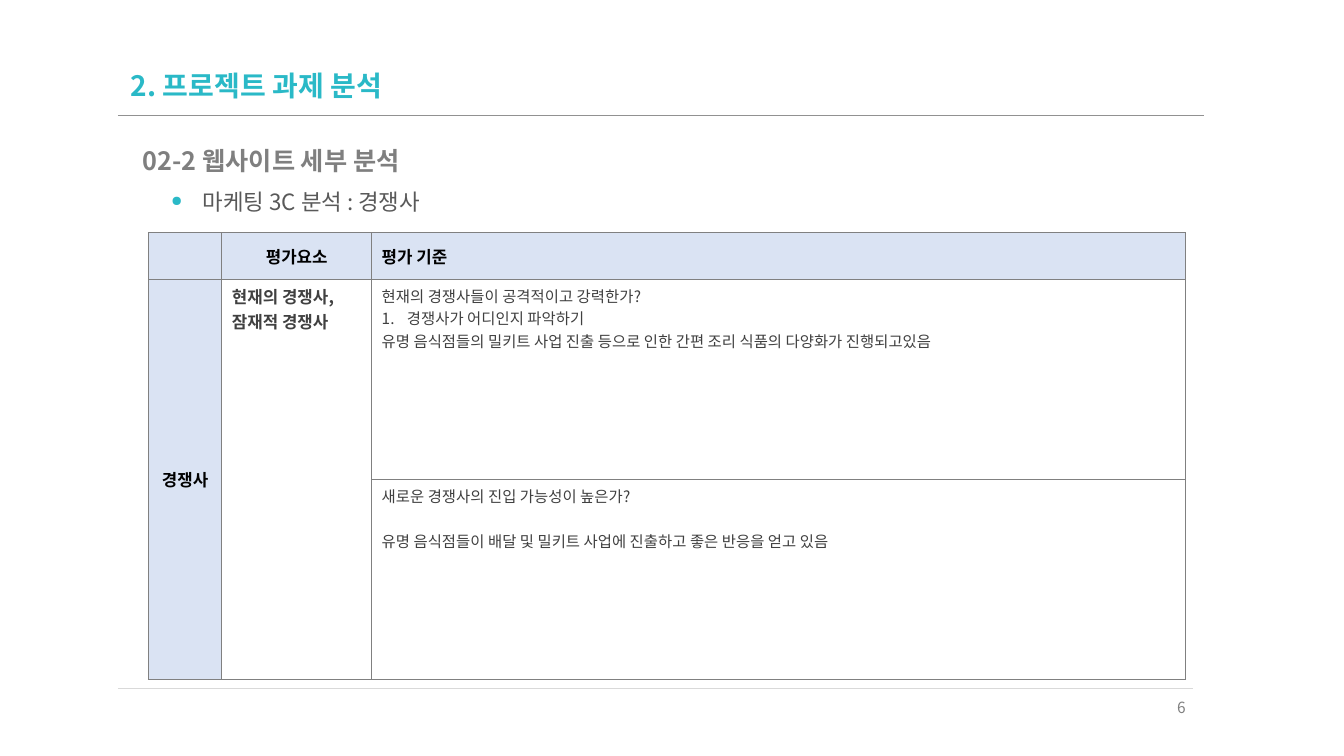
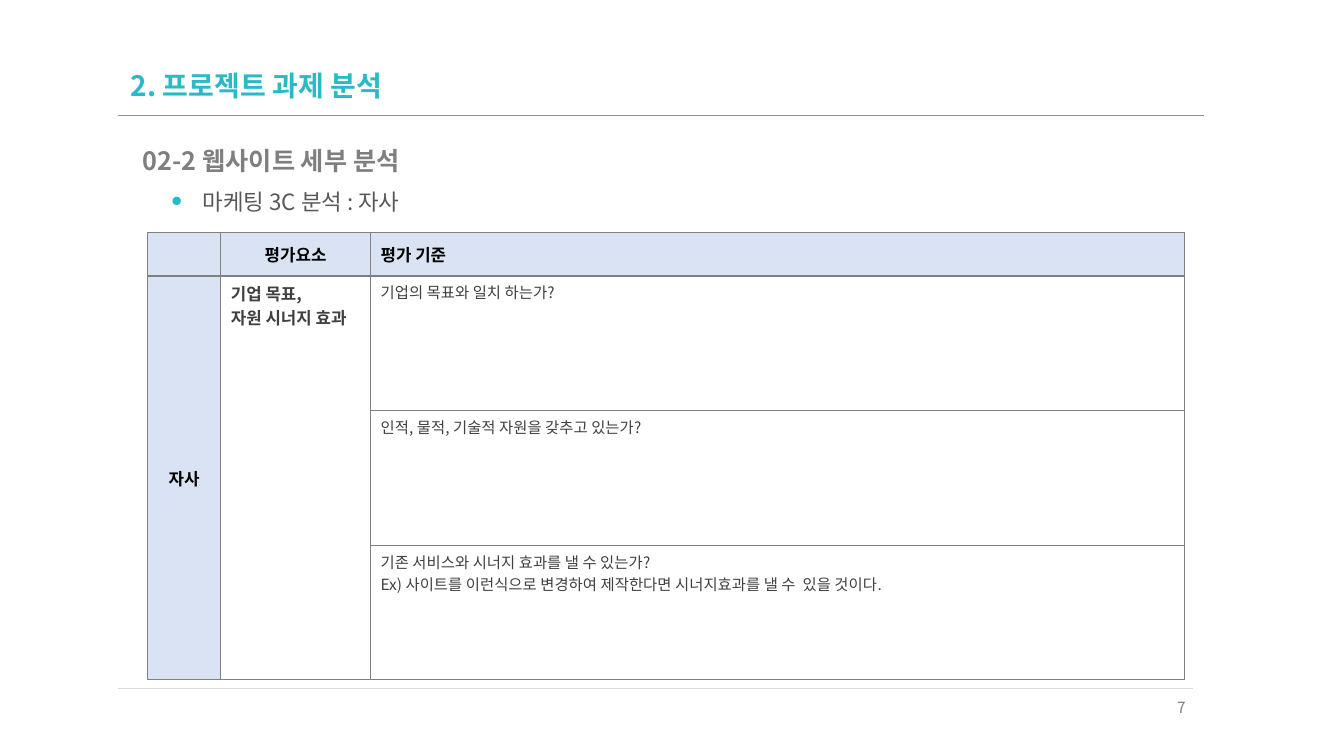
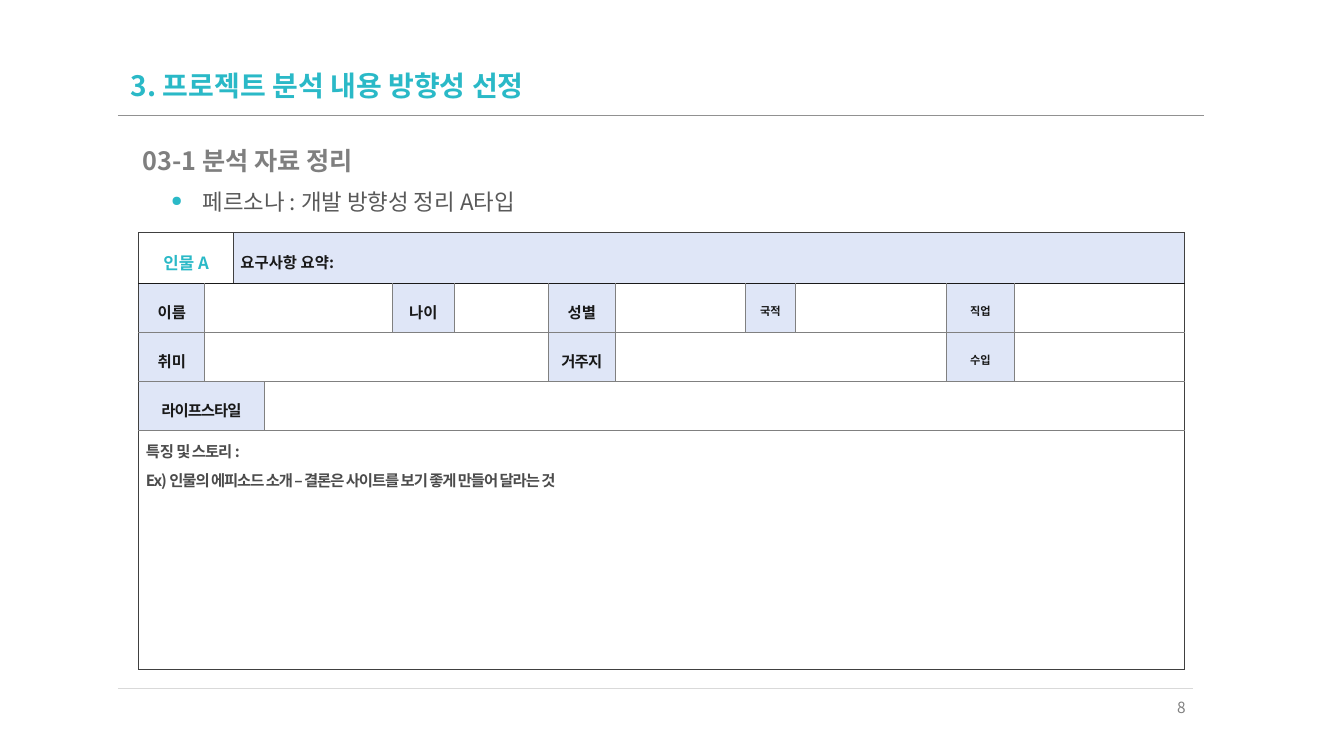
import pptx
import pptx.util
import pptx.dml.color
import pptx.enum.shapes
import pptx.enum.text
import pptx.oxml.ns
import lxml.etree

Pt = pptx.util.Pt
qn = pptx.oxml.ns.qn
ALIGN = pptx.enum.text.PP_ALIGN
ANCHOR = pptx.enum.text.MSO_ANCHOR

FONT = "Noto Sans CJK KR"
COLOURS = {
    "accent": "2AB9C7", "subtitle": "7F7F7F", "topic": "595959", "grey": "808080",
    "title_rule": "919191", "rule": "D9D9D9", "dark": "404040", "ink": "191919",
    "story": "4C4C4C", "black": "000000", "header": "DAE3F3", "label": "DFE6F7",
}

# Cell styles: text look, fill and inner margins (horizontal, vertical)
ANALYSIS = {"size": 12, "bold": True, "colour": "black", "margins": (7.2, 3.6)}
HEAD = {**ANALYSIS, "fill": "header", "anchor": ANCHOR.MIDDLE}
HEAD_CENTRED = {**HEAD, "align": ALIGN.CENTER}
FACTOR = {**ANALYSIS, "colour": "dark"}
CRITERION = {**FACTOR, "size": 11, "bold": False}
PERSONA = {"size": 11, "bold": True, "colour": "ink", "margins": (5, 1.5), "spacing": 1.3}
LABEL = {**PERSONA, "fill": "label", "anchor": ANCHOR.MIDDLE, "align": ALIGN.CENTER}
SMALL_LABEL = {**LABEL, "size": 8}
PERSON = {**LABEL, "size": 12, "colour": "accent", "fill": None}
SUMMARY = {**LABEL, "align": ALIGN.JUSTIFY}
STORY = {**PERSONA, "colour": "story", "align": ALIGN.JUSTIFY}

# Borders: (colour, width)
GRID = ("grey", 1)
THIN = ("grey", 0.5)
FRAME = ("dark", 1)
BAND = ("ink", 0.85)

# Cells: row, column, row span, column span, style, paragraphs.
# A paragraph is a string or a dict; runs are (text, letter spacing) pairs.
ANALYSIS_COLS = [52.5, 107, 581.5]


def analysis_cells(subject, factors, criteria):
    count = len(criteria)
    return [
        (0, 0, 1, 1, HEAD, []),
        (0, 1, 1, 1, HEAD_CENTRED, ["평가요소"]),
        (0, 2, 1, 1, HEAD, ["평가 기준"]),
        (1, 0, count, 1, HEAD_CENTRED, [subject]),
        (1, 1, count, 1, FACTOR, factors),
    ] + [(row, 2, 1, 1, CRITERION, lines) for row, lines in enumerate(criteria, 1)]


COMPETITOR_CELLS = analysis_cells("경쟁사", ["현재의 경쟁사,", "잠재적 경쟁사"], [
    ["현재의 경쟁사들이 공격적이고 강력한가?",
     {"runs": [("경쟁사가 어디인지 파악하기", 0)], "numbered": True},
     "유명 음식점들의 밀키트 사업 진출 등으로 인한 간편 조리 식품의 다양화가 진행되고있음"],
    ["새로운 경쟁사의 진입 가능성이 높은가?",
     {"runs": [("유명 음식점들이 배달 및 밀키트 사업에 진출하고 좋은 반응을 얻고 있음", 0)],
      "before": 16}],
])

COMPANY_CELLS = analysis_cells("자사", ["기업 목표,", "자원 시너지 효과"], [
    ["기업의 목표와 일치 하는가?"],
    ["인적, 물적, 기술적 자원을 갖추고 있는가?"],
    ["기존 서비스와 시너지 효과를 낼 수 있는가?",
     "Ex) 사이트를 이런식으로 변경하여 제작한다면 시너지효과를 낼 수  있을 것이다."],
])

PERSONA_CELLS = [
    (0, 0, 1, 2, PERSON, ["인물 A"]),
    (0, 2, 1, 10, SUMMARY, ["요구사항 요약:"]),
    (1, 0, 1, 1, LABEL, ["이름"]),
    (1, 1, 1, 3, PERSONA, []),
    (1, 4, 1, 1, LABEL, ["나이"]),
    (1, 5, 1, 1, PERSONA, []),
    (1, 6, 1, 1, LABEL, ["성별"]),
    (1, 7, 1, 1, PERSONA, []),
    (1, 8, 1, 1, SMALL_LABEL, ["국적"]),
    (1, 9, 1, 1, PERSONA, []),
    (1, 10, 1, 1, SMALL_LABEL, ["직업"]),
    (1, 11, 1, 1, PERSONA, []),
    (2, 0, 1, 1, LABEL, ["취미"]),
    (2, 1, 1, 5, PERSONA, []),
    (2, 6, 1, 1, LABEL, [{"runs": [("거주지", -0.5)]}]),
    (2, 7, 1, 3, PERSONA, []),
    (2, 10, 1, 1, SMALL_LABEL, ["수입"]),
    (2, 11, 1, 1, PERSONA, []),
    (3, 0, 1, 3, LABEL, [{"runs": [("라이프스타일", -0.7)]}]),
    (3, 3, 1, 9, PERSONA, []),
    (4, 0, 1, 12, STORY, [
        {"runs": [("특징", -0.2), (" 및 스토리 :", -0.8)]},
        {"runs": [("Ex) 인물의 에피소드 소개 – 결론은 사이트를 보기 좋게 만들어 달라는 것", -0.8)]},
    ]),
]


def grid_borders(row, col, last_row, last_col):
    return dict.fromkeys("LRTB", GRID)


def persona_borders(row, col, last_row, last_col):
    if row == 0:
        return {"L": FRAME, "R": FRAME, "T": FRAME, "B": BAND}
    return {
        "L": FRAME if col == 0 else THIN,
        "R": FRAME if last_col else THIN,
        "T": BAND if row == 1 else THIN,
        "B": FRAME if last_row else THIN,
    }


SLIDES = [
    {"page": 6, "title": "2. 프로젝트 과제 분석", "subtitle": "02-2 웹사이트 세부 분석",
     "topic": "마케팅 3C 분석 : 경쟁사", "left": 106, "cols": ANALYSIS_COLS,
     "rows": [33.2, 143, 143], "cells": COMPETITOR_CELLS, "borders": grid_borders},
    {"page": 7, "title": "2. 프로젝트 과제 분석", "subtitle": "02-2 웹사이트 세부 분석",
     "topic": "마케팅 3C 분석 : 자사", "left": 105.2, "cols": ANALYSIS_COLS,
     "rows": [30.8] + [96.2] * 3, "cells": COMPANY_CELLS, "borders": grid_borders},
    {"page": 8, "title": "3. 프로젝트 분석 내용 방향성 선정", "subtitle": "03-1 분석 자료 정리",
     "topic": "페르소나 : 개발 방향성 정리 A타입", "left": 99.2,
     "cols": [47, 20.5, 22, 91.5, 44.5, 67, 48, 93, 35.5, 108, 48.5, 121.7],
     "rows": [36.4, 34.9, 34.9, 34.9, 171], "cells": PERSONA_CELLS,
     "borders": persona_borders},
]
TABLE_TOP = 166.3


def rgb(name):
    return pptx.dml.color.RGBColor.from_string(COLOURS[name])


def add_xml(parent, tag, **attributes):
    return lxml.etree.SubElement(parent, qn(tag), attributes)


def style_run(run, size, colour, bold=False, tracking=0):
    run.font.name = FONT
    run.font.size = Pt(size)
    run.font.bold = bold
    run.font.color.rgb = rgb(colour)
    properties = run.font._element
    add_xml(properties, "a:ea", typeface=FONT)
    properties.set("kern", "0")
    if tracking:
        properties.set("spc", str(round(tracking * 100)))


def set_hanging(paragraph, indent):
    properties = paragraph._p.get_or_add_pPr()
    properties.set("marL", str(Pt(indent)))
    properties.set("indent", str(-Pt(indent)))
    return properties


# Shared parts of every slide
def add_rule(slide, right, y, colour):
    rule = slide.shapes.add_connector(
        pptx.enum.shapes.MSO_CONNECTOR.STRAIGHT, Pt(84.2), Pt(y), Pt(right), Pt(y))
    rule.line.color.rgb = rgb(colour)
    rule.line.width = Pt(0.5)
    add_xml(rule._element.spPr, "a:effectLst")


def add_text(slide, text, box, size, colour, bold=False, spacing=0.9,
             align=ALIGN.LEFT, anchor=ANCHOR.TOP):
    frame = slide.shapes.add_textbox(*map(Pt, box)).text_frame
    frame.word_wrap = True
    frame.vertical_anchor = anchor
    frame.text = text
    paragraph = frame.paragraphs[0]
    paragraph.alignment = align
    paragraph.line_spacing = spacing
    style_run(paragraph.runs[0], size, colour, bold)
    return paragraph


def add_frame(slide, content):
    add_rule(slide, 859.7, 82.1, "title_rule")
    add_rule(slide, 852, 491.8, "rule")
    add_text(slide, content["title"], (86.4, 44.6, 776, 35.3), 20, "accent", True,
             anchor=ANCHOR.MIDDLE)
    add_text(slide, content["subtitle"], (95, 102.8, 767.5, 24.5), 18, "subtitle", True)
    topic = add_text(slide, content["topic"], (115.2, 133.2, 747.2, 24.5), 16, "topic")
    bullet = set_hanging(topic, 22.5)
    colour = add_xml(bullet, "a:buClr")
    add_xml(colour, "a:srgbClr", val=COLOURS["accent"])
    add_xml(bullet, "a:buSzPct", val="64000")
    add_xml(bullet, "a:buChar", char="●")
    add_text(slide, str(content["page"]), (811.5, 495.4, 42.5, 28.8), 11, "grey",
             spacing=1, align=ALIGN.RIGHT)


# Tables
def set_borders(cell, borders):
    properties = cell._tc.get_or_add_tcPr()
    for index, side in enumerate("LRTB"):
        colour, width = borders[side]
        line = lxml.etree.Element(qn("a:ln" + side), w=str(Pt(width)))
        fill = add_xml(line, "a:solidFill")
        add_xml(fill, "a:srgbClr", val=COLOURS[colour])
        properties.insert(index, line)


def fill_cell(cell, style, paragraphs):
    horizontal, vertical = style["margins"]
    cell.margin_left = cell.margin_right = Pt(horizontal)
    cell.margin_top = cell.margin_bottom = Pt(vertical if paragraphs else 0)
    cell.vertical_anchor = style.get("anchor", ANCHOR.TOP)
    if style.get("fill"):
        cell.fill.solid()
        cell.fill.fore_color.rgb = rgb(style["fill"])
    for index, content in enumerate(paragraphs):
        if isinstance(content, str):
            content = {"runs": [(content, 0)]}
        frame = cell.text_frame
        paragraph = frame.add_paragraph() if index else frame.paragraphs[0]
        paragraph.alignment = style.get("align", ALIGN.LEFT)
        paragraph.line_spacing = style.get("spacing", 1)
        if "before" in content:
            paragraph.space_before = Pt(content["before"])
        if content.get("numbered"):
            add_xml(set_hanging(paragraph, 18), "a:buAutoNum", type="arabicPeriod")
        for text, tracking in content["runs"]:
            run = paragraph.add_run()
            run.text = text
            style_run(run, style["size"], style["colour"], style["bold"], tracking)


def add_grid(slide, content):
    cols, rows = content["cols"], content["rows"]
    table = slide.shapes.add_table(
        len(rows), len(cols), Pt(content["left"]), Pt(TABLE_TOP),
        Pt(sum(cols)), Pt(sum(rows))).table
    table.first_row = table.horz_banding = False
    for column, width in zip(table.columns, cols):
        column.width = Pt(width)
    for row, height in zip(table.rows, rows):
        row.height = Pt(height)
    for cell in table.iter_cells():
        cell.fill.background()
    for row, col, row_span, col_span, style, paragraphs in content["cells"]:
        cell = table.cell(row, col)
        end_row, end_col = row + row_span, col + col_span
        if row_span * col_span > 1:
            cell.merge(table.cell(end_row - 1, end_col - 1))
        fill_cell(cell, style, paragraphs)
        set_borders(cell, content["borders"](
            row, col, end_row == len(rows), end_col == len(cols)))


def main():
    deck = pptx.Presentation()
    deck.slide_width, deck.slide_height = Pt(960), Pt(540)
    for content in SLIDES:
        slide = deck.slides.add_slide(deck.slide_layouts[6])
        add_frame(slide, content)
        add_grid(slide, content)
    deck.save("out.pptx")


if __name__ == "__main__":
    main()
